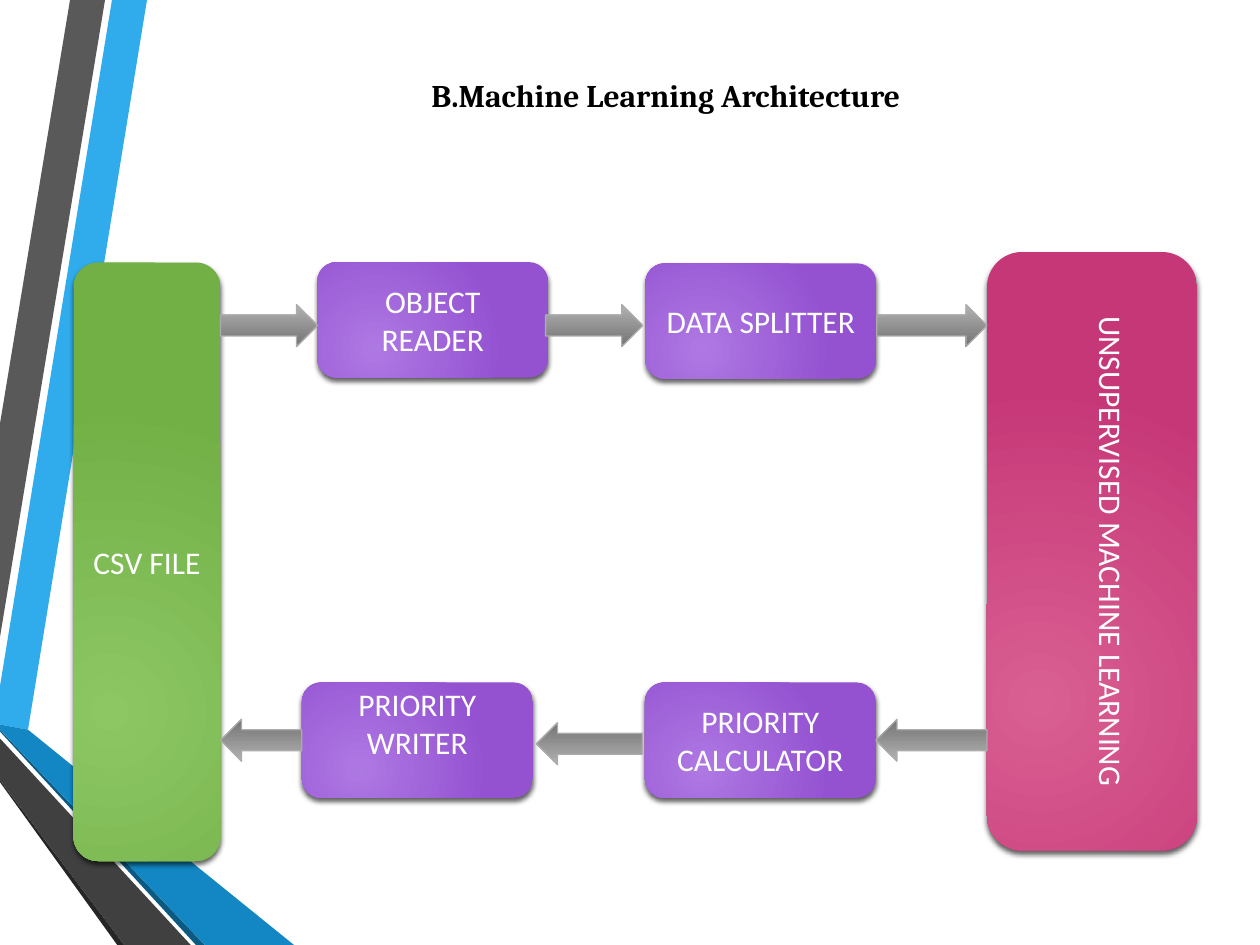
from lxml.etree import SubElement
from pptx import Presentation
from pptx.dml.color import RGBColor
from pptx.enum.shapes import MSO_SHAPE
from pptx.enum.text import MSO_ANCHOR, PP_ALIGN
from pptx.oxml.ns import qn
from pptx.util import Pt

BLACK = RGBColor(0x00, 0x00, 0x00)
WHITE = RGBColor(0xFF, 0xFF, 0xFF)
GREEN = RGBColor(0x8C, 0xC7, 0x64), RGBColor(0x72, 0xAF, 0x45)
PURPLE = RGBColor(0xAE, 0x78, 0xE3), RGBColor(0x94, 0x52, 0xD1)
PINK = RGBColor(0xD9, 0x5F, 0x92), RGBColor(0xC6, 0x37, 0x77)
GRAY = RGBColor(0xB2, 0xB2, 0xB2), RGBColor(0x73, 0x73, 0x73)
EDGE = RGBColor(0xAB, 0xAB, 0xAB)
SKY = RGBColor(0x30, 0xAC, 0xEC)
BLUE = RGBColor(0x12, 0x87, 0xC3)
NAVY = RGBColor(0x0C, 0x5A, 0x82)
SLATE = RGBColor(0x59, 0x59, 0x59)
COAL = RGBColor(0x40, 0x40, 0x40)
INK = RGBColor(0x26, 0x26, 0x26)

BANDS = [
    (SKY, [(0, 392), (0, 414), (16, 417), (84, 0), (64, 0)]),
    (SLATE, [(60, 0), (40, 0), (0, 242), (0, 364)]),
    (INK, [(0, 446), (0, 447), (67, 540), (71, 540)]),
    (NAVY, [(0, 417), (0, 418), (112, 540), (117, 540)]),
    (BLUE, [(0, 417), (117, 540), (168, 540), (16, 417), (0, 414)]),
    (COAL, [(0, 446), (71, 540), (109, 540), (0, 422)]),
]
STEPS = [
    ("OBJECT READER", 181.3, 149.8),
    ("DATA SPLITTER", 368.8, 150.5),
    ("PRIORITY CALCULATOR", 368.5, 390),
]
ARROWS = [
    (126, 174, 55.5, 0),
    (311.8, 174, 55.5, 0),
    (501, 174, 63, 0),
    (126, 411, 46.5, 180),
    (306.5, 413, 60.5, 180),
    (500.5, 411, 63.5, 180),
]


def add_band(slide, color, points):
    """Draw one flat band of the side decoration."""
    spots = [(Pt(x), Pt(y)) for x, y in points]
    pen = slide.shapes.build_freeform(*spots[0], scale=1.0)
    pen.add_line_segments(spots[1:], close=True)
    band = pen.convert_to_shape()
    band.shadow.inherit = False
    band.fill.solid()
    band.fill.fore_color.rgb = color
    band.line.fill.background()


def style_text(frame, font, color, bold=False):
    """Centre the text and set its font."""
    frame.word_wrap = True
    frame.vertical_anchor = MSO_ANCHOR.MIDDLE
    for para in frame.paragraphs:
        para.alignment = PP_ALIGN.CENTER
        for run in para.runs:
            run.font.name = font
            run.font.size = Pt(18)
            run.font.bold = bold
            run.font.color.rgb = color


def blend(shape, colors):
    """Fill a shape with two colours from top to bottom."""
    shape.fill.gradient()
    shape.fill.gradient_angle = 270
    for stop, color in zip(shape.fill.gradient_stops, colors):
        stop.color.rgb = color


def glow(shape):
    """Turn the gradient of a shape into a radial one."""
    grad = shape._element.spPr.find(qn("a:gradFill"))
    grad.remove(grad.find(qn("a:lin")))
    ring = SubElement(grad, qn("a:path"), path="circle")
    SubElement(ring, qn("a:fillToRect"), l="50000", t="100000", r="100000", b="50000")


def shade(shape):
    """Cast a soft shadow below a shape."""
    shape.shadow.inherit = False
    effects = shape._element.spPr.find(qn("a:effectLst"))
    outer = SubElement(effects, qn("a:outerShdw"), blurRad=str(Pt(3)), dist=str(Pt(2)),
                       dir="5400000", algn="ctr", rotWithShape="0")
    tint = SubElement(outer, qn("a:srgbClr"), val=str(BLACK))
    SubElement(tint, qn("a:alpha"), val="64000")


def add_box(slide, text, colors, left, top, width=132, height=66):
    """Add a rounded box with a label and return it."""
    box = slide.shapes.add_shape(
        MSO_SHAPE.ROUNDED_RECTANGLE, Pt(left), Pt(top), Pt(width), Pt(height))
    blend(box, colors)
    glow(box)
    box.line.fill.background()
    shade(box)
    box.text_frame.text = text
    style_text(box.text_frame, "Calibri", WHITE)
    return box


def add_arrow(slide, left, top, width, turn):
    """Add a gray block arrow."""
    arrow = slide.shapes.add_shape(
        MSO_SHAPE.RIGHT_ARROW, Pt(left), Pt(top), Pt(width), Pt(24))
    arrow.rotation = turn
    arrow.shadow.inherit = False
    blend(arrow, GRAY)
    arrow.line.color.rgb = EDGE
    arrow.line.width = Pt(0.75)


def set_title(slide, text):
    """Place and format the title."""
    title = slide.shapes.title
    title.left, title.top, title.width, title.height = Pt(77), Pt(0), Pt(607), Pt(108)
    title.text_frame.text = text
    style_text(title.text_frame, "Cambria", BLACK, bold=True)


def main():
    """Build the slide and save it."""
    deck = Presentation()
    deck.slide_width, deck.slide_height = Pt(720), Pt(540)
    slide = deck.slides.add_slide(deck.slide_layouts[5])
    for color, points in BANDS:
        add_band(slide, color, points)
    set_title(slide, "B.Machine Learning Architecture")
    add_box(slide, "CSV FILE", GREEN, 42, 150, 84, 342)
    for text, left, top in STEPS:
        add_box(slide, text, PURPLE, left, top)
    writer = add_box(slide, "PRIORITY WRITER", PURPLE, 172.5, 390)
    writer.text_frame.margin_top, writer.text_frame.margin_bottom = Pt(0), Pt(20)
    model = add_box(slide, "UNSUPERVISED MACHINE LEARNING", PINK, 564, 144, 120, 342)
    model.text_frame.margin_left = Pt(26)
    model.text_frame._txBody.bodyPr.set("vert", "vert")
    for spot in ARROWS:
        add_arrow(slide, *spot)
    deck.save("out.pptx")


if __name__ == "__main__":
    main()
